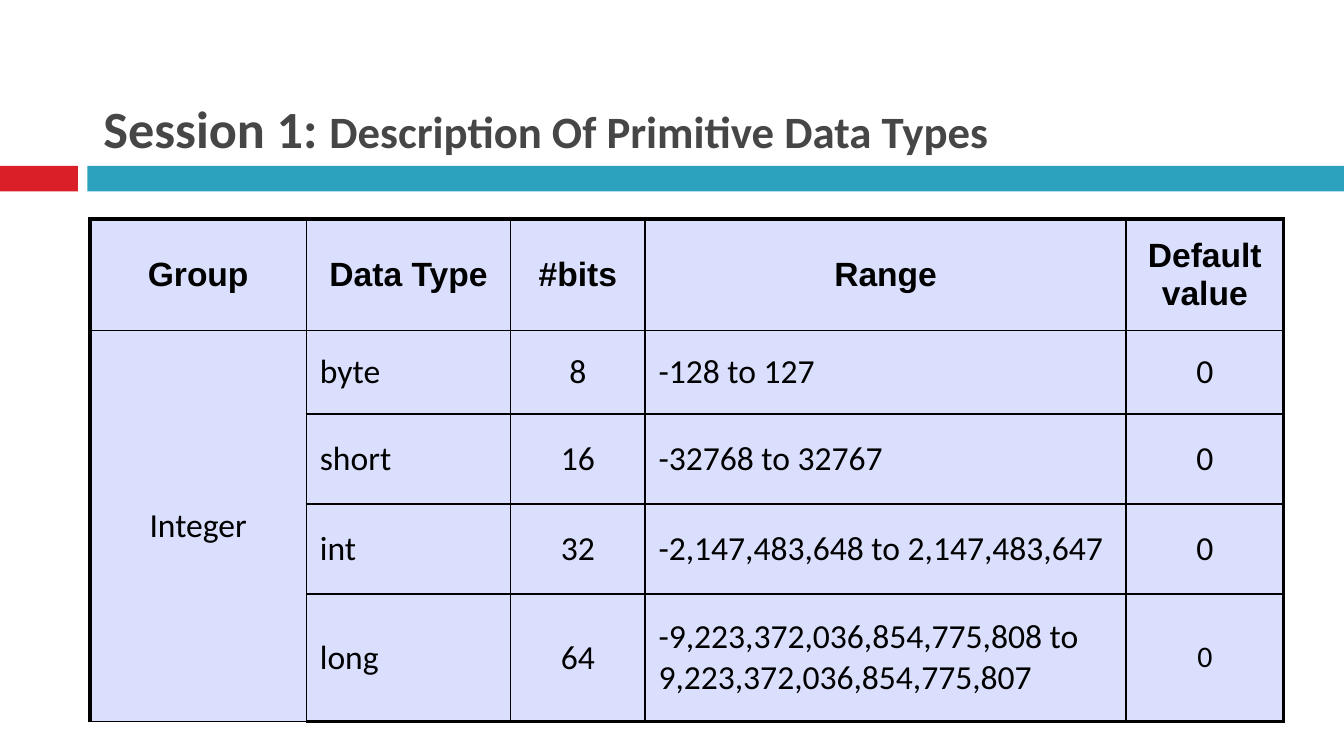
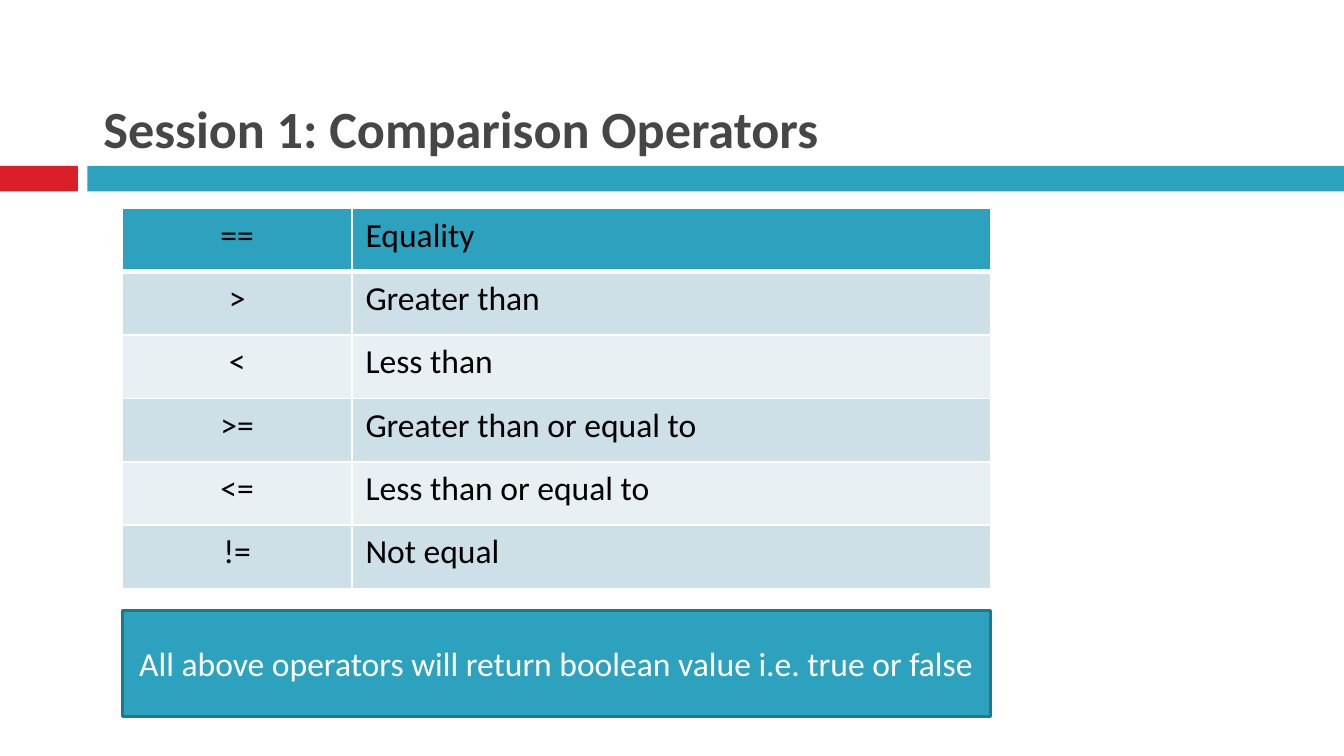
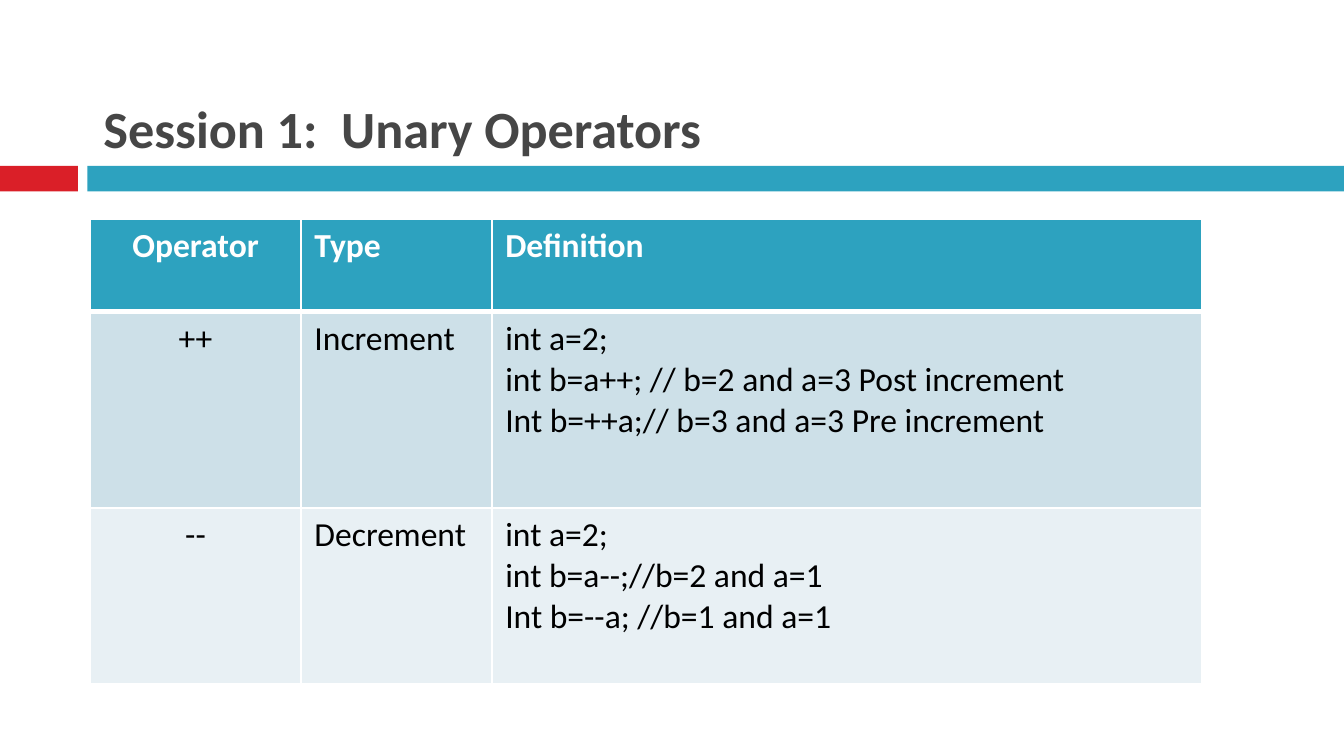
from dataclasses import dataclass
from typing import NamedTuple

from lxml.etree import SubElement
from pptx import Presentation
from pptx.dml.color import RGBColor
from pptx.enum.shapes import MSO_SHAPE
from pptx.enum.text import MSO_ANCHOR, MSO_AUTO_SIZE, PP_ALIGN
from pptx.oxml.ns import qn
from pptx.util import Emu, Inches, Pt

# Grid: the slide is 100 columns wide and 56.25 rows high, in square units
SLIDE_WIDTH = Inches(10)
GRID_COLUMNS, GRID_ROWS = 100, 56.25
UNIT = SLIDE_WIDTH / GRID_COLUMNS

# Shared colours and fonts
RED, TEAL, DARK_TEAL = "DA1F28", "2DA2BF", "21788D"
BLACK, WHITE, TITLE_GREY = "000000", "FFFFFF", "464646"
LAVENDER, PALE_BLUE, PALE_GREY = "B7C1FD", "CDE0E8", "E8F0F4"
BODY_FONT, HEADING_FONT = "Calibri", "Arial"
BODY_SIZE = 18
LEFT, CENTER = PP_ALIGN.LEFT, PP_ALIGN.CENTER


class Box(NamedTuple):
    left: float
    top: float
    width: float
    height: float

    def lengths(self) -> list[Emu]:
        return [grid(value) for value in self]


class Band(NamedTuple):
    box: Box
    color: str


class TextStyle(NamedTuple):
    size: float = BODY_SIZE
    color: str = BLACK
    bold: bool = False
    font: str = BODY_FONT


@dataclass(frozen=True)
class TableStyle:
    header: TextStyle
    header_fill: str
    row_fills: tuple[str, ...]
    border_color: str
    outer_border: float = 1
    header_border: float = 1
    opacity: int = 100
    anchor: MSO_ANCHOR = MSO_ANCHOR.TOP
    center_header: bool = False


@dataclass(frozen=True)
class TableData:
    left: float
    top: float
    columns: tuple[float, ...]
    rows: tuple[float, ...]
    alignments: tuple[PP_ALIGN, ...]
    cells: tuple[tuple[str, ...], ...]


TITLE_BOX = Box(6.7, 1.3, 93.3, 11)
BANDS = (
    Band(Box(0, 12.35, 5.8, 1.9), RED),
    Band(Box(6.5, 12.35, 93.5, 1.9), TEAL),
)
BODY = TextStyle()
SMALL = TextStyle(size=16)
TITLE = TextStyle(28, TITLE_GREY, True)
SUBTITLE = TITLE._replace(size=24)

BOXED = TableStyle(
    TextStyle(bold=True, font=HEADING_FONT), LAVENDER, (LAVENDER,), BLACK,
    outer_border=2.25, opacity=50, anchor=MSO_ANCHOR.MIDDLE, center_header=True,
)
BANDED = TableStyle(
    TextStyle(color=WHITE, bold=True), TEAL, (PALE_BLUE, PALE_GREY), WHITE,
    header_border=3,
)
BANDED_PLAIN = TableStyle(
    BODY, TEAL, (PALE_BLUE, PALE_GREY), WHITE, header_border=3,
)

PRIMITIVE_TYPES = TableData(
    6.7, 16.3, (16.1, 15.2, 10, 35.8, 11.7), (8.3, 6.2, 6.7, 6.7, 9.5),
    (CENTER, LEFT, CENTER, LEFT, CENTER),
    (
        ("Group", "Data Type", "#bits", "Range", "Default value"),
        ("Integer", "byte", "8", "-128 to 127", "0"),
        ("", "short", "16", "-32768 to 32767", "0"),
        ("", "int", "32", "-2,147,483,648 to 2,147,483,647", "0"),
        ("", "long", "64",
         "-9,223,372,036,854,775,808 to 9,223,372,036,854,775,807", "0"),
    ),
)
COMPARISONS = TableData(
    9.1, 15.5, (17.1, 47.5), (4.72,) * 6, (CENTER, LEFT),
    (
        ("==", "Equality"),
        (">", "Greater than"),
        ("<", "Less than"),
        (">=", "Greater than or equal to"),
        ("<=", "Less than or equal to"),
        ("!=", "Not equal"),
    ),
)
UNARY_OPERATORS = TableData(
    6.7, 16.3, (15.7, 14.2, 52.8), (6.9, 14.6, 13.1), (CENTER, LEFT, LEFT),
    (
        ("Operator", "Type", "Definition"),
        ("++", "Increment",
         "int a=2;\nint b=a++; // b=2 and a=3 Post increment\n"
         "Int b=++a;// b=3 and a=3 Pre increment"),
        ("--", "Decrement",
         "int a=2;\nint b=a--;//b=2 and a=1\nInt b=--a; //b=1 and a=1"),
    ),
)


def grid(value: float) -> Emu:
    return Emu(round(value * UNIT))


def rgb(color: str) -> RGBColor:
    return RGBColor.from_string(color)


def add_run(paragraph, text: str, style: TextStyle) -> None:
    run = paragraph.add_run()
    run.text = text
    run.font.name = style.font
    run.font.size = Pt(style.size)
    run.font.bold = style.bold
    run.font.color.rgb = rgb(style.color)


def write_lines(text_frame, text: str, style: TextStyle, alignment: PP_ALIGN) -> None:
    for index, line in enumerate(text.split("\n")):
        paragraph = text_frame.add_paragraph() if index else text_frame.paragraphs[0]
        paragraph.alignment = alignment
        add_run(paragraph, line, style)


def add_rectangle(slide, box: Box, fill: str, line: str | None = None):
    shape = slide.shapes.add_shape(MSO_SHAPE.RECTANGLE, *box.lengths())
    shape.shadow.inherit = False
    shape.fill.solid()
    shape.fill.fore_color.rgb = rgb(fill)
    if line:
        shape.line.color.rgb = rgb(line)
        shape.line.width = Pt(1.5)
    else:
        shape.line.fill.background()
    return shape


def add_titled_slide(presentation, *parts: tuple[str, TextStyle]):
    slide = presentation.slides.add_slide(presentation.slide_layouts[5])
    for band in BANDS:
        add_rectangle(slide, band.box, band.color)
    title = slide.shapes.title
    title.left, title.top, title.width, title.height = TITLE_BOX.lengths()
    text_frame = title.text_frame
    text_frame.word_wrap = True
    text_frame.auto_size = MSO_AUTO_SIZE.NONE
    text_frame.vertical_anchor = MSO_ANCHOR.BOTTOM
    paragraph = text_frame.paragraphs[0]
    paragraph.alignment = LEFT
    for text, style in parts:
        add_run(paragraph, text, style)
    return slide


def set_border(cell, side: str, color: str, width: float) -> None:
    properties = cell._tc.get_or_add_tcPr()
    line = SubElement(properties, qn(f"a:ln{side}"), w=str(Pt(width)))
    fill = SubElement(line, qn("a:solidFill"))
    SubElement(fill, qn("a:srgbClr"), val=color)


def fill_cell(cell, color: str, opacity: int) -> None:
    cell.fill.solid()
    cell.fill.fore_color.rgb = rgb(color)
    if opacity < 100:
        color_element = cell._tc.tcPr.find(f"{qn('a:solidFill')}/{qn('a:srgbClr')}")
        SubElement(color_element, qn("a:alpha"), val=str(opacity * 1000))


def add_styled_table(slide, data: TableData, style: TableStyle,
                     special: dict[tuple[int, int], TextStyle] | None = None):
    box = Box(data.left, data.top, sum(data.columns), sum(data.rows))
    table = slide.shapes.add_table(
        len(data.rows), len(data.columns), *box.lengths()).table
    table.horz_banding = False
    for column, width in zip(table.columns, data.columns):
        column.width = grid(width)
    for row, height in zip(table.rows, data.rows):
        row.height = grid(height)

    # Line widths by position: frame, below the header, or inside
    last_row, last_column = len(data.rows) - 1, len(data.columns) - 1
    row_edges = [style.outer_border, style.header_border]
    row_edges += [1] * (last_row - 1) + [style.outer_border]
    column_edges = [style.outer_border] + [1] * last_column + [style.outer_border]

    for row, texts in enumerate(data.cells):
        for column, text in enumerate(texts):
            cell = table.cell(row, column)
            for side, width in (
                ("L", column_edges[column]), ("R", column_edges[column + 1]),
                ("T", row_edges[row]), ("B", row_edges[row + 1]),
            ):
                set_border(cell, side, style.border_color, width)
            row_fill = style.row_fills[(row - 1) % len(style.row_fills)]
            fill_cell(cell, row_fill if row else style.header_fill, style.opacity)
            cell.vertical_anchor = style.anchor
            if text:
                text_style = BODY if row else style.header
                text_style = (special or {}).get((row, column), text_style)
                centered = style.center_header and row == 0
                alignment = CENTER if centered else data.alignments[column]
                write_lines(cell.text_frame, text, text_style, alignment)
    return table


def add_primitive_types_slide(presentation) -> None:
    slide = add_titled_slide(
        presentation, ("Session 1: ", TITLE),
        ("Description Of Primitive Data Types", SUBTITLE))
    table = add_styled_table(slide, PRIMITIVE_TYPES, BOXED, {(4, 4): SMALL})
    table.cell(1, 0).merge(table.cell(4, 0))


def add_comparison_slide(presentation) -> None:
    slide = add_titled_slide(presentation, ("Session 1: Comparison Operators", TITLE))
    add_styled_table(slide, COMPARISONS, BANDED_PLAIN)
    note_box = Box(COMPARISONS.left, 45.4, sum(COMPARISONS.columns), 7.9)
    note = add_rectangle(slide, note_box, TEAL, DARK_TEAL)
    note.text_frame.word_wrap = True
    note.text_frame.vertical_anchor = MSO_ANCHOR.MIDDLE
    write_lines(
        note.text_frame,
        "All above operators will return boolean value i.e. true or false",
        TextStyle(color=WHITE), CENTER)


def add_unary_slide(presentation) -> None:
    slide = add_titled_slide(presentation, ("Session 1:  Unary Operators", TITLE))
    add_styled_table(slide, UNARY_OPERATORS, BANDED)


def main() -> None:
    presentation = Presentation()
    presentation.slide_width = SLIDE_WIDTH
    presentation.slide_height = grid(GRID_ROWS)
    add_primitive_types_slide(presentation)
    add_comparison_slide(presentation)
    add_unary_slide(presentation)
    presentation.save("out.pptx")


if __name__ == "__main__":
    main()
